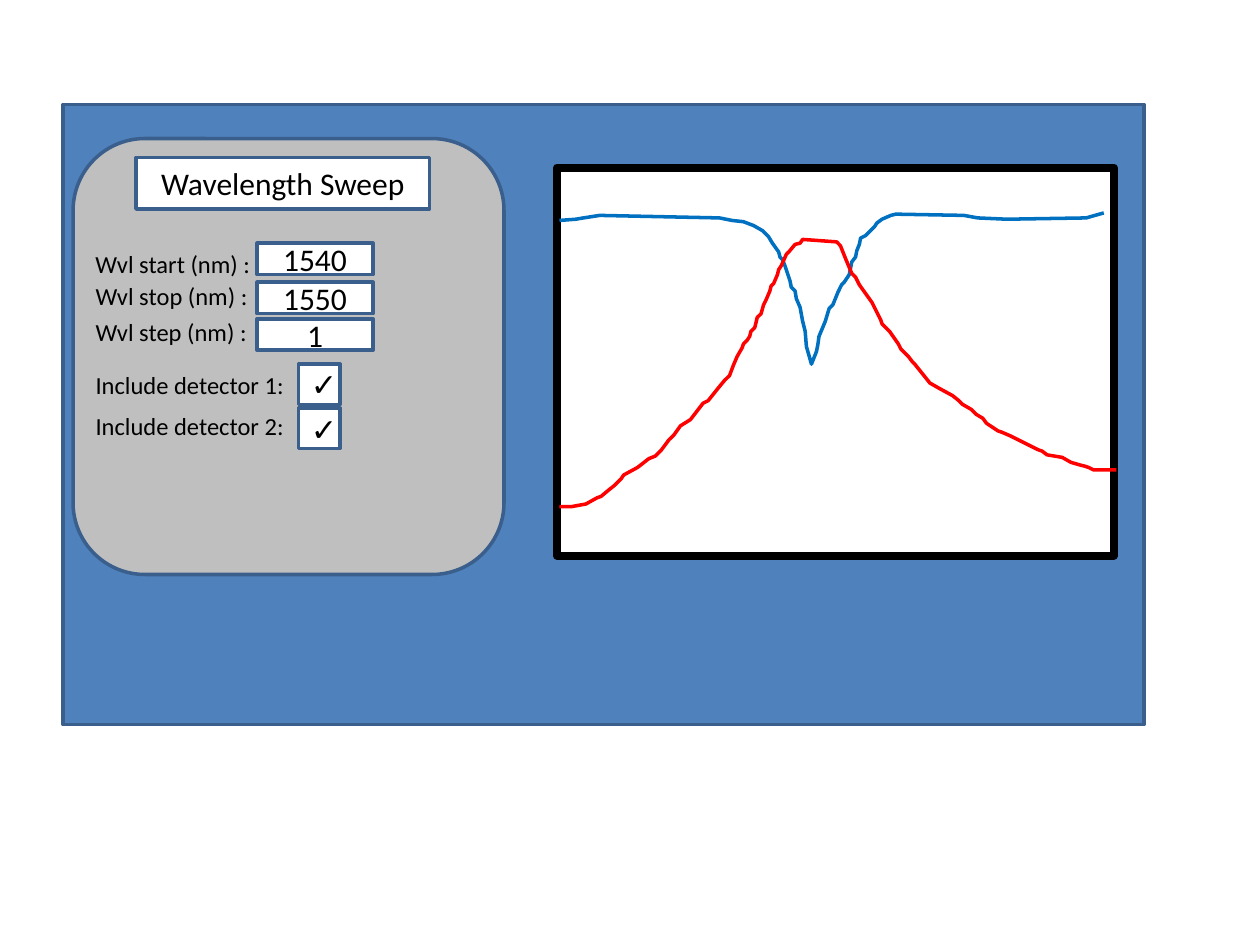
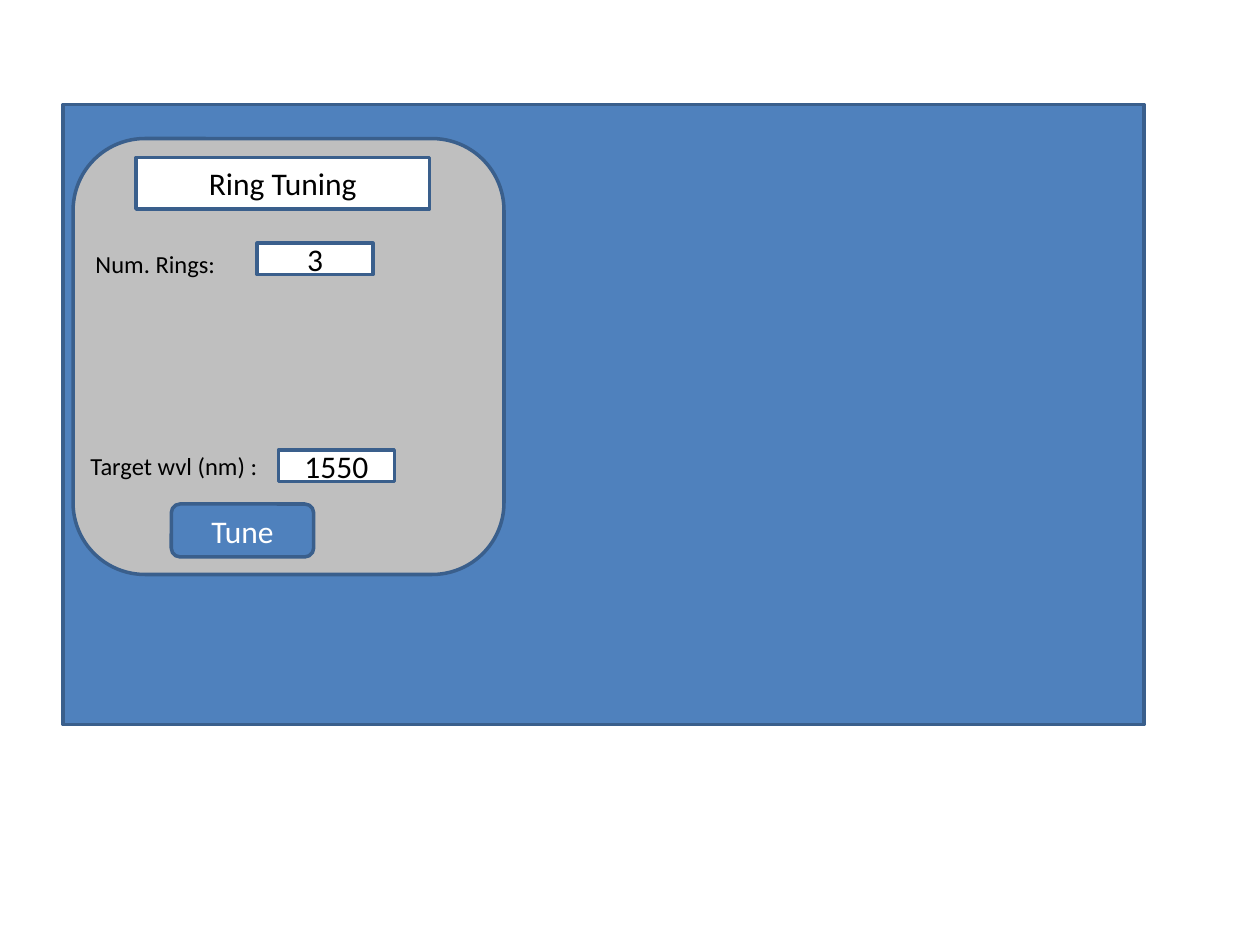
from pptx import Presentation
from pptx.dml.color import RGBColor
from pptx.enum.shapes import MSO_SHAPE
from pptx.enum.text import MSO_ANCHOR, MSO_AUTO_SIZE, PP_ALIGN
from pptx.util import Inches, Pt

RECT, ROUND = MSO_SHAPE.RECTANGLE, MSO_SHAPE.ROUNDED_RECTANGLE
MIDDLE, CENTER = MSO_ANCHOR.MIDDLE, PP_ALIGN.CENTER
FIT = MSO_AUTO_SIZE.SHAPE_TO_FIT_TEXT

FONT = "Calibri"
BLUE, EDGE, GREY = "4F81BD", "3A5F8C", "BFBFBF"
WHITE, BLACK = "FFFFFF", "000000"
DIP_COLOR, PEAK_COLOR = "0070C0", "FF0000"

COLS, ROWS = 1000, 750
PITCH = Inches(10) // COLS
WINDOW = (50, 83, 858, 492)
PANEL = (8, 27, 342, 346)
PLOT = (392, 50, 442, 308)
TITLE = (50, 15, 233, 41)
FIELD_X, CHECK_X, LABEL_X = 146, 179, 8
FIELD_SIZE, CHECK_SIZE, LABEL_H = (92, 25), (33, 32), 34

DIP = [
    (2, 42), (15, 41), (21, 40), (34, 38), (129, 40), (139, 42), (148, 43),
    (156, 46), (163, 50), (168, 55), (171, 60), (176, 67), (177, 71),
    (179, 73), (181, 78), (185, 90), (186, 95), (189, 98), (190, 104),
    (193, 111), (195, 122), (197, 130), (198, 142), (202, 156), (206, 146),
    (207, 141), (208, 134), (213, 122), (216, 112), (219, 109), (223, 99),
    (226, 93), (228, 91), (232, 85), (234, 75), (237, 71), (238, 66),
    (240, 61), (241, 56), (245, 54), (252, 47), (254, 44), (258, 41),
    (265, 38), (269, 37), (323, 38), (334, 40), (357, 41), (420, 40),
    (427, 38), (434, 36),
]
PEAK = [
    (2, 269), (12, 269), (23, 267), (32, 262), (35, 261), (41, 256),
    (46, 252), (51, 247), (53, 244), (64, 238), (73, 231), (78, 229),
    (83, 224), (89, 216), (93, 212), (98, 205), (106, 200), (116, 187),
    (120, 185), (128, 175), (133, 169), (137, 165), (140, 157), (143, 150),
    (147, 143), (148, 140), (151, 137), (153, 134), (154, 130), (157, 127),
    (159, 119), (162, 116), (164, 109), (166, 105), (169, 98), (170, 94),
    (172, 92), (175, 85), (176, 81), (178, 78), (182, 69), (184, 67),
    (189, 61), (193, 60), (195, 57), (222, 59), (225, 62), (229, 72),
    (234, 84), (237, 87), (240, 93), (245, 100), (250, 107), (252, 111),
    (257, 121), (258, 124), (264, 130), (271, 140), (273, 144), (279, 150),
    (282, 154), (284, 156), (296, 171), (303, 175), (314, 181), (319, 185),
    (322, 188), (329, 192), (333, 196), (338, 199), (341, 203), (350, 209),
    (353, 210), (360, 213), (370, 218), (378, 222), (382, 224), (385, 225),
    (389, 228), (401, 230), (408, 234), (415, 236), (419, 237), (422, 238),
    (426, 240), (444, 240),
]


def rgb(color):
    """Turn a hex string into a colour."""
    return RGBColor.from_string(color)


def within(box, part):
    """Shift a part's grid cells into its parent box."""
    return (box[0] + part[0], box[1] + part[1], *part[2:])


def emu(box):
    """Turn grid cells into slide lengths."""
    return [cells * PITCH for cells in box]


def write(sp, text, size, color):
    """Put one line of text into a shape and return its paragraph."""
    p = sp.text_frame.paragraphs[0]
    p.text = text
    p.font.name, p.font.size = FONT, Pt(size)
    p.font.color.rgb = rgb(color)
    return p


def block(s, box, fill, kind=RECT, text="", color=BLACK, edge=EDGE, width=2):
    """Draw a filled, outlined shape with optional centred text."""
    sp = s.shapes.add_shape(kind, *emu(box))
    sp.shadow.inherit = False
    sp.fill.solid()
    sp.fill.fore_color.rgb = rgb(fill)
    sp.line.color.rgb = rgb(edge)
    sp.line.width = Pt(width)
    if text:
        sp.text_frame.vertical_anchor = MIDDLE
        write(sp, text, 18, color).alignment = CENTER


def label(s, panel, y, width, text, x=LABEL_X):
    """Write a caption in the panel."""
    sp = s.shapes.add_textbox(*emu(within(panel, (x, y, width, LABEL_H))))
    sp.text_frame.word_wrap = False
    sp.text_frame.auto_size = FIT
    write(sp, text, 14, BLACK)


def entry(s, panel, y, text, x=FIELD_X, size=FIELD_SIZE):
    """Draw a white input box in the panel."""
    block(s, within(panel, (x, y, *size)), WHITE, text=text)


def curve(s, plot, points, color):
    """Trace a measured line over the plot."""
    builder = s.shapes.build_freeform(*points[0], scale=PITCH)
    builder.add_line_segments(points[1:], close=False)
    sp = builder.convert_to_shape(*emu(plot[:2]))
    sp.shadow.inherit = False
    sp.fill.background()
    sp.line.color.rgb = rgb(color)
    sp.line.width = Pt(2)


def window(prs, title):
    """Add a slide with the application window and its titled panel."""
    s = prs.slides.add_slide(prs.slide_layouts[6])
    panel = within(WINDOW, PANEL)
    block(s, WINDOW, BLUE)
    block(s, panel, GREY, ROUND)
    block(s, within(panel, TITLE), WHITE, text=title)
    return s, panel


def sweep_plot(s, plot):
    """Draw the framed plot with both detector curves."""
    block(s, plot, WHITE, edge=BLACK, width=4.5)
    curve(s, plot, DIP, DIP_COLOR)
    curve(s, plot, PEAK, PEAK_COLOR)


def sweep_slide(prs):
    """Build the wavelength sweep window."""
    s, panel = window(prs, "Wavelength Sweep")
    fields = [
        ("start", "1540", 83, 83, 144),
        ("stop", "1550", 108, 114, 142),
        ("step", "1", 137, 143, 141),
    ]
    for name, value, label_y, field_y, width in fields:
        label(s, panel, label_y, width, f"Wvl {name} (nm) :")
        entry(s, panel, field_y, value)
    for number, label_y, check_y in ((1, 179, 179), (2, 211, 214)):
        label(s, panel, label_y, 171, f"Include detector {number}:")
        entry(s, panel, check_y, "✓", CHECK_X, CHECK_SIZE)
    sweep_plot(s, within(WINDOW, PLOT))


def tuning_slide(prs):
    """Build the ring tuning window."""
    s, panel = window(prs, "Ring Tuning")
    label(s, panel, 83, 116, "Num. Rings:")
    entry(s, panel, 83, "3")
    block(s, within(panel, (78, 290, 113, 42)), BLUE, ROUND, "Tune", WHITE)
    entry(s, panel, 247, "1550", x=163)
    label(s, panel, 243, 154, "Target wvl (nm) :", x=4)


prs = Presentation()
prs.slide_width, prs.slide_height = emu((COLS, ROWS))
sweep_slide(prs)
tuning_slide(prs)
prs.save("out.pptx")
